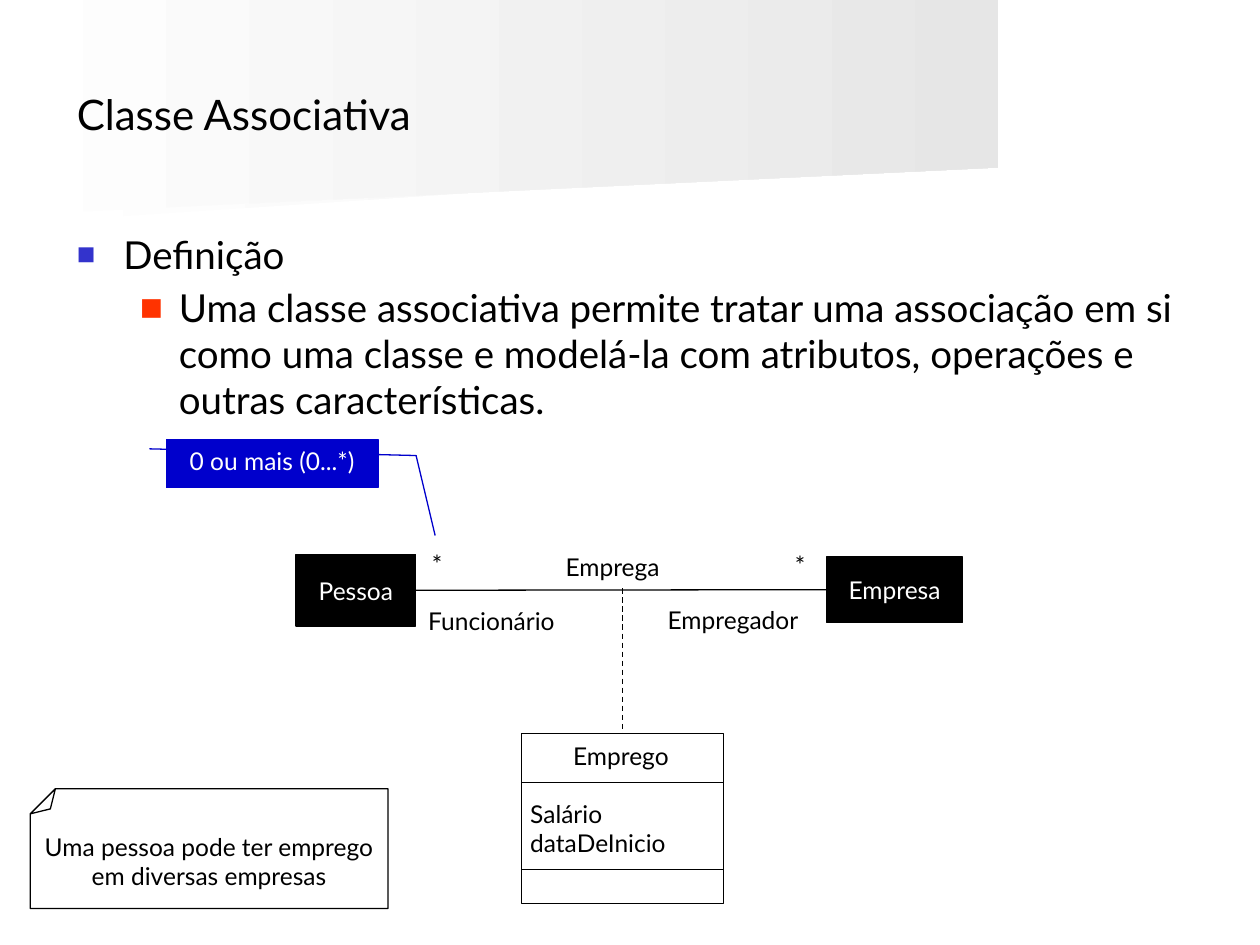
from lxml.etree import SubElement
from pptx import Presentation
from pptx.dml.color import RGBColor
from pptx.enum.dml import MSO_LINE
from pptx.enum.shapes import MSO_CONNECTOR, MSO_SHAPE
from pptx.enum.text import MSO_ANCHOR, MSO_AUTO_SIZE, PP_ALIGN
from pptx.oxml.ns import qn
from pptx.util import Inches, Pt

# Grid of the slide: 100 columns by 75 rows
COLS, ROWS = 100, 75
UNIT = Inches(0.1)
BLACK, WHITE, BLUE = "000000", "FFFFFF", "0000CC"


def tint(code):
    return RGBColor.from_string(code)


def span(*cells):
    return [round(cell * UNIT) for cell in cells]


def inset(box, left, top, width=0, height=0):
    """Cells counted from the corner of a box."""
    return box[0] + left, box[1] + top, width, height


def apply(item, values):
    for name, value in values.items():
        setattr(item, name, value)


def write(frame, lines, size=14, color=BLACK, align=PP_ALIGN.LEFT, **values):
    apply(frame, values)
    frame.text = "\n".join(lines)
    for para in frame.paragraphs:
        para.alignment = align
        for run in para.runs:
            apply(run.font, {"name": "Lato", "size": Pt(size)})
            run.font.color.rgb = tint(color)


def label(slide, box, *lines):
    frame = slide.shapes.add_textbox(*span(*box)).text_frame
    write(frame, lines, word_wrap=False,
          auto_size=MSO_AUTO_SIZE.SHAPE_TO_FIT_TEXT)


def block(slide, kind, box, fill=None, line=BLACK):
    shape = slide.shapes.add_shape(kind, *span(*box))
    shape.shadow.inherit = False
    if fill:
        shape.fill.solid()
        shape.fill.fore_color.rgb = tint(fill)
    else:
        shape.fill.background()
    shape.line.color.rgb = tint(line)
    shape.line.width = Pt(0.75)
    return shape


def adjust(shape, **shares):
    """Set the preset's guides by name."""
    preset = shape._element.spPr.find(qn("a:prstGeom"))
    for old in list(preset):
        preset.remove(old)
    guides = SubElement(preset, qn("a:avLst"))
    for name, share in shares.items():
        SubElement(guides, qn("a:gd"), name=name,
                   fmla=f"val {round(share * 100000)}")


def wire(slide, start, end):
    line = slide.shapes.add_connector(MSO_CONNECTOR.STRAIGHT, *span(*start, *end))
    line.line.color.rgb = tint(BLACK)
    line.line.width = Pt(0.75)
    SubElement(line._element.spPr, qn("a:effectLst"))
    return line


def bullet(para, color, share, left, hang):
    props = para._p.get_or_add_pPr()
    props.set("marL", str(Inches(left)))
    props.set("indent", str(-Inches(hang)))
    paint = SubElement(props, qn("a:buClr"))
    SubElement(paint, qn("a:srgbClr"), val=color)
    SubElement(props, qn("a:buSzPct"), val=str(share * 1000))
    SubElement(props, qn("a:buChar"), char="■")


def banner(slide, box):
    """Two fading panels with slanted lower edges, behind everything."""
    panels = [
        ([(0, 8.3), (77.9, 8.3), (77.8, 12.6), (0, 17.8)], "F0F0F0"),
        ([(0, 0), (79.2, 0), (79.2, 13.3), (0, 17.1)], "E6E6E6"),
    ]
    for depth, (points, shade) in enumerate(panels):
        spots = [span(*inset(box, *point)[:2]) for point in points]
        pen = slide.shapes.build_freeform(*spots[0])
        pen.add_line_segments(spots[1:], close=True)
        panel = pen.convert_to_shape()
        panel.shadow.inherit = False
        panel.line.fill.background()
        panel.fill.gradient()
        panel.fill.gradient_angle = 0
        for stop, code in zip(panel.fill.gradient_stops, (WHITE, shade)):
            stop.color.rgb = tint(code)
        slide.shapes._spTree.insert(2 + depth, panel._element)


def place(holder, box):
    sides = ("left", "top", "width", "height")
    apply(holder, dict(zip(sides, span(*box))))


def heading(slide, box):
    title = slide.shapes.title
    place(title, box)
    write(title.text_frame, ["Classe Associativa"], 24,
          vertical_anchor=MSO_ANCHOR.MIDDLE, auto_size=MSO_AUTO_SIZE.NONE)


def outline(slide, box):
    body = slide.placeholders[1]
    place(body, box)
    write(body.text_frame, [
        "Definição",
        "Uma classe associativa permite tratar uma associação em si como uma "
        "classe e modelá-la com atributos, operações e outras características.",
    ], 22, auto_size=MSO_AUTO_SIZE.NONE)
    first, second = body.text_frame.paragraphs
    apply(first, {"space_before": Pt(0)})
    apply(second, {"level": 1, "space_before": Pt(4)})
    bullet(first, "3333CC", 80, 0.37, 0.37)
    bullet(second, "FF3300", 100, 0.81, 0.31)


def relation(slide, box):
    """Two classes, the line between them and its labels."""
    ends = []
    for name, cells in [("Pessoa", (0, 0.9, 9.5, 5.7)),
                        ("Empresa", (42.1, 1.1, 10.8, 5.2))]:
        shape = block(slide, MSO_SHAPE.RECTANGLE, inset(box, *cells), BLACK)
        write(shape.text_frame, [name], color=WHITE, align=PP_ALIGN.CENTER,
              word_wrap=False, vertical_anchor=MSO_ANCHOR.MIDDLE)
        ends.append(shape)
    link = wire(slide, (0, 0), (0, 0))
    link.begin_connect(ends[0], 3)
    link.end_connect(ends[1], 1)
    for text, cells in [("Funcionário", (9.5, 4.5, 12.8, 3.4)),
                        ("Empregador", (28.5, 4.4, 13.5, 3.4)),
                        ("*", (9.8, 0, 3.1, 3.4)),
                        ("*", (38.6, 0.1, 3.1, 3.4)),
                        ("Emprega", (20.4, 0.2, 10.3, 3.4))]:
        label(slide, inset(box, *cells), text)


def record(slide, box, rise):
    """Association class, hung by a dashed line from the relation above."""
    left, top, width, height = box
    frame = block(slide, MSO_SHAPE.RECTANGLE, box)
    for row in (3.9, 10.8):
        wire(slide, (left, top + row), (left + width, top + row))
    label(slide, inset(box, 3.1, 0.1, 10.4, 3.4), "Emprego")
    label(slide, inset(box, -0.3, 4.7, 13.6, 5.7), "Salário", "dataDeInicio")
    middle = left + width / 2
    stem = wire(slide, (middle, top - rise), (middle, top))
    stem.line.dash_style = MSO_LINE.DASH
    stem.end_connect(frame, 0)


def callout(slide, box):
    shape = block(slide, MSO_SHAPE.LINE_CALLOUT_2, box, BLUE, BLUE)
    adjust(shape, adj1=0.19, adj2=-0.08, adj3=0.33, adj4=1.18, adj5=2, adj6=1.27)
    write(shape.text_frame, ["0 ou mais (0...*)"], color=WHITE,
          align=PP_ALIGN.CENTER, word_wrap=True, vertical_anchor=MSO_ANCHOR.TOP)


def note(slide, box):
    """Note turned upside down, so that its fold is at the upper left."""
    shape = block(slide, MSO_SHAPE.FOLDED_CORNER, box)
    shape.rotation = 180
    adjust(shape, adj=0.21)
    write(shape.text_frame, ["Uma pessoa pode ter emprego", "em diversas empresas"],
          align=PP_ALIGN.CENTER, word_wrap=False,
          vertical_anchor=MSO_ANCHOR.MIDDLE)
    shape.text_frame._txBody.bodyPr.set("rot", str(180 * 60000))


def main():
    deck = Presentation()
    deck.slide_width, deck.slide_height = span(COLS, ROWS)
    slide = deck.slides.add_slide(deck.slide_layouts[1])
    banner(slide, (0, 0, 79.2, 17.8))
    heading(slide, (5.1, 2.8, 90, 12.5))
    outline(slide, (5.1, 17.8, 90, 16.2))
    relation(slide, (23.5, 43.1, 52.9, 7.9))
    record(slide, (41.4, 58.2, 16, 13.5), 11.5)
    callout(slide, (13.2, 34.9, 16.8, 3.8))
    note(slide, (2.4, 62.6, 28.4, 9.5))
    deck.save("out.pptx")


if __name__ == "__main__":
    main()
